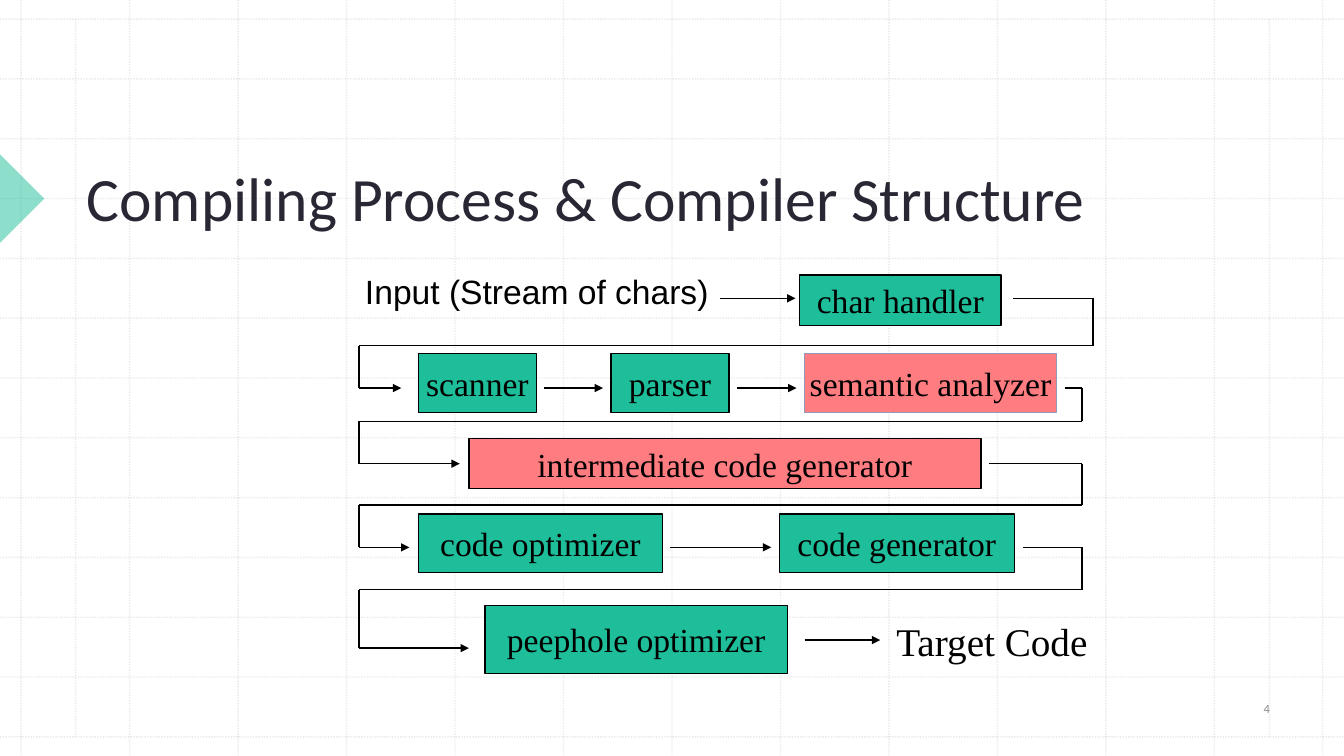
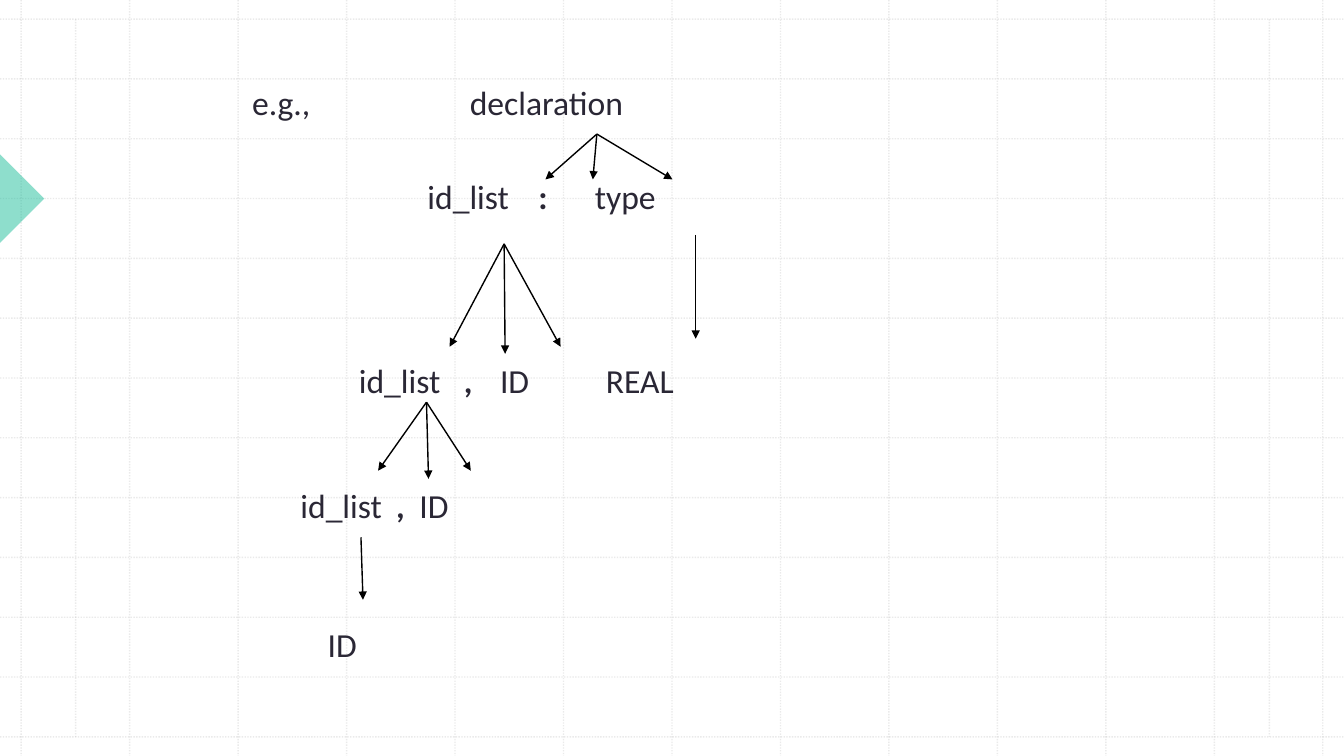
from itertools import pairwise

from pptx import Presentation
from pptx.dml.color import RGBColor
from pptx.enum.dml import MSO_LINE
from pptx.enum.shapes import MSO_CONNECTOR, MSO_SHAPE
from pptx.enum.text import MSO_ANCHOR, PP_ALIGN
from pptx.oxml.ns import qn
from pptx.util import Inches, Pt
from lxml.etree import SubElement

COLORS = {
    "ink": "2A2735", "black": "000000", "grid": "BCBCBC", "number": "8C8C8C",
    "green": "1EBE9B", "red": "FF7C80", "blue": "8F99BB",
}
SANS, SERIF, PLAIN = "Calibri", "Times New Roman", "Arial"
WIDTH, HEIGHT = 13.33, 7.5

# Background grid: first line, last line, number of gaps
GRID_X = (0.21, 13.12, 12)
GRID_Y = (0.19, 7.31, 12)
MARGINS_X = (0.75, 12.59)

# Compiler stages: text, left, top, width, height, fill, line
STAGES = [
    ("char handler", 7.93, 2.73, 2, 0.5, "green", "black"),
    ("scanner", 4.15, 3.51, 1.17, 0.58, "green", "black"),
    ("parser", 6.06, 3.51, 1.17, 0.58, "green", "black"),
    ("semantic analyzer", 7.98, 3.51, 2.5, 0.58, "red", "blue"),
    ("intermediate code generator", 4.65, 4.35, 5.08, 0.5, "red", "black"),
    ("code optimizer", 4.15, 5.1, 2.42, 0.58, "green", "black"),
    ("code generator", 7.73, 5.1, 2.33, 0.58, "green", "black"),
    ("peephole optimizer", 4.81, 6.01, 3, 0.67, "green", "black"),
]
# Arrows within a row: left, right, y
ROW_ARROWS = [
    (7.14, 7.89, 2.96), (5.4, 5.98, 3.85), (7.31, 7.9, 3.85),
    (6.65, 7.65, 5.43), (7.98, 8.73, 6.35),
]
# Arrows to the next row: start x, start y, right turn, y between rows, end x, end y
WRAP_ARROWS = [
    (10.05, 2.96, 10.84, 3.43, 3.98, 3.85),
    (10.56, 3.85, 10.73, 4.18, 4.56, 4.6),
    (9.81, 4.6, 10.73, 5.01, 4.06, 5.43),
    (10.15, 5.43, 10.73, 5.85, 4.65, 6.43),
]
LEFT_TURN = 3.56

# Parse tree rows: top, then the labels with their left edges
TREE_ROWS = [
    (0.81, [("e.g.,", 2.5), ("declaration", 4.66)]),
    (1.74, [("id_list", 4.24), (":", 5.34), ("type", 5.9)]),
    (3.57, [("id_list", 3.56), (",", 4.6), ("ID", 4.96), ("REAL", 6.01)]),
    (4.81, [("id_list", 2.98), (",", 3.93), ("ID", 4.16)]),
    (6.19, [("ID", 3.25)]),
]
LABEL_WIDTHS = {
    "e.g.,": 0.65, "declaration": 1.65, "id_list": 0.9, "type": 0.7,
    "ID": 0.4, "REAL": 0.8, ":": 0.2, ",": 0.2,
}
# Tree branches: start point, then the end points
BRANCHES = [
    ((5.92, 1.33), [(5.41, 1.78), (5.88, 1.78), (6.67, 1.78)]),
    ((5, 2.42), [(4.46, 3.44), (5.01, 3.51), (5.56, 3.44)]),
    ((6.9, 2.33), [(6.9, 3.36)]),
    ((4.23, 3.99), [(3.75, 4.67), (4.25, 4.75), (4.67, 4.67)]),
    ((3.58, 5.33), [(3.6, 5.95)]),
]


def rgb(name):
    return RGBColor.from_string(COLORS[name])


def set_alpha(shape, percent):
    color = next(shape.element.spPr.iter(qn("a:srgbClr")))
    SubElement(color, qn("a:alpha")).set("val", str(percent * 1000))


def set_font(paragraph, name, size, color="black", bold=False):
    font = paragraph.font
    font.name, font.size, font.bold = name, Pt(size), bold
    font.color.rgb = rgb(color)


def add_line(slide, start, end, color="black", arrow=False):
    line = slide.shapes.add_connector(
        MSO_CONNECTOR.STRAIGHT, *(Inches(value) for value in (*start, *end)))
    line.line.color.rgb = rgb(color)
    line.line.width = Pt(1)
    if arrow:
        SubElement(line.line._get_or_add_ln(), qn("a:tailEnd")).set("type", "triangle")
    SubElement(line.element.spPr, qn("a:effectLst"))
    return line


def add_box(slide, left, top, width, height, fill, outline=None, kind=MSO_SHAPE.RECTANGLE):
    box = slide.shapes.add_shape(
        kind, *(Inches(value) for value in (left, top, width, height)))
    box.shadow.inherit = False
    box.fill.solid()
    box.fill.fore_color.rgb = rgb(fill)
    if outline:
        box.line.color.rgb = rgb(outline)
        box.line.width = Pt(1)
    else:
        box.line.fill.background()
    return box


def set_text(shape, text, font, size, color="black", bold=False,
             align=PP_ALIGN.LEFT, anchor=MSO_ANCHOR.TOP):
    frame = shape.text_frame
    frame.margin_left = frame.margin_right = frame.margin_top = frame.margin_bottom = 0
    frame.word_wrap = False
    frame.vertical_anchor = anchor
    paragraph = frame.paragraphs[0]
    paragraph.text = text
    paragraph.alignment = align
    set_font(paragraph, font, size, color, bold)


def add_label(slide, text, left, top, width, height, font, size, **style):
    box = slide.shapes.add_textbox(
        *(Inches(value) for value in (left, top, width, height)))
    set_text(box, text, font, size, **style)


def spread(first, last, gaps):
    return [first + (last - first) * index / gaps for index in range(gaps + 1)]


def build_background(presentation, slide):
    """Draw the grid and the side marker on a slide, then move them to the master."""
    ends = [((x, 0), (x, HEIGHT)) for x in spread(*GRID_X)]
    ends += [((0, y), (WIDTH, y)) for y in spread(*GRID_Y)]
    ends += [((x, GRID_Y[0]), (x, GRID_Y[1])) for x in MARGINS_X]
    parts = []
    for start, end in ends:
        line = add_line(slide, start, end, "grid")
        line.line.dash_style = MSO_LINE.ROUND_DOT
        set_alpha(line, 30)
        parts.append(line)

    marker = add_box(slide, -0.31, 1.66, 0.62, 0.62, "green", kind=MSO_SHAPE.RIGHT_TRIANGLE)
    marker.rotation = 225
    set_alpha(marker, 50)
    parts.append(marker)

    master_tree = presentation.slide_master.shapes.element
    for number, part in enumerate(parts):
        next(part.element.iter(qn("p:cNvPr"))).set("id", str(100 + number))
        master_tree.insert(2 + number, part.element)


def build_structure(slide):
    title = slide.shapes.title
    title.left, title.top, title.width, title.height = (
        Inches(value) for value in (0.76, 0.79, 11.29, 1.58))
    title.text_frame.text = "Compiling Process & Compiler Structure"
    title.text_frame.vertical_anchor = MSO_ANCHOR.BOTTOM
    paragraph = title.text_frame.paragraphs[0]
    paragraph.alignment = PP_ALIGN.LEFT
    set_font(paragraph, SANS, 44, "ink")

    add_label(slide, "4", 12.03, 6.8, 1.07, 0.46, SANS, 9, color="number",
              align=PP_ALIGN.CENTER, anchor=MSO_ANCHOR.MIDDLE)
    add_label(slide, "Input (Stream of chars)", 3.62, 2.69, 3.45, 0.4, PLAIN, 24)
    add_label(slide, "Target Code", 8.89, 6.12, 2, 0.45, SERIF, 28)

    for text, left, top, width, height, fill, outline in STAGES:
        box = add_box(slide, left, top, width, height, fill, outline)
        set_text(box, text, SERIF, 24, align=PP_ALIGN.CENTER, anchor=MSO_ANCHOR.MIDDLE)

    for left, right, y in ROW_ARROWS:
        add_line(slide, (left, y), (right, y), arrow=True)
    for start_x, start_y, right, between, end_x, end_y in WRAP_ARROWS:
        end = (end_x, end_y)
        points = [(start_x, start_y), (right, start_y), (right, between),
                  (LEFT_TURN, between), (LEFT_TURN, end_y), end]
        for first, second in pairwise(points):
            add_line(slide, first, second, arrow=second == end)


def build_tree(slide):
    for top, labels in TREE_ROWS:
        for text, left in labels:
            add_label(slide, text, left, top, LABEL_WIDTHS[text], 0.41, SANS, 24,
                      color="ink", bold=text in (":", ","))
    for start, ends in BRANCHES:
        for end in ends:
            add_line(slide, start, end, arrow=True)


def main():
    presentation = Presentation()
    presentation.slide_width = Inches(WIDTH)
    presentation.slide_height = Inches(HEIGHT)
    title_only, blank = presentation.slide_layouts[5], presentation.slide_layouts[6]
    structure = presentation.slides.add_slide(title_only)
    build_background(presentation, structure)
    build_structure(structure)
    build_tree(presentation.slides.add_slide(blank))
    presentation.save("out.pptx")


if __name__ == "__main__":
    main()
